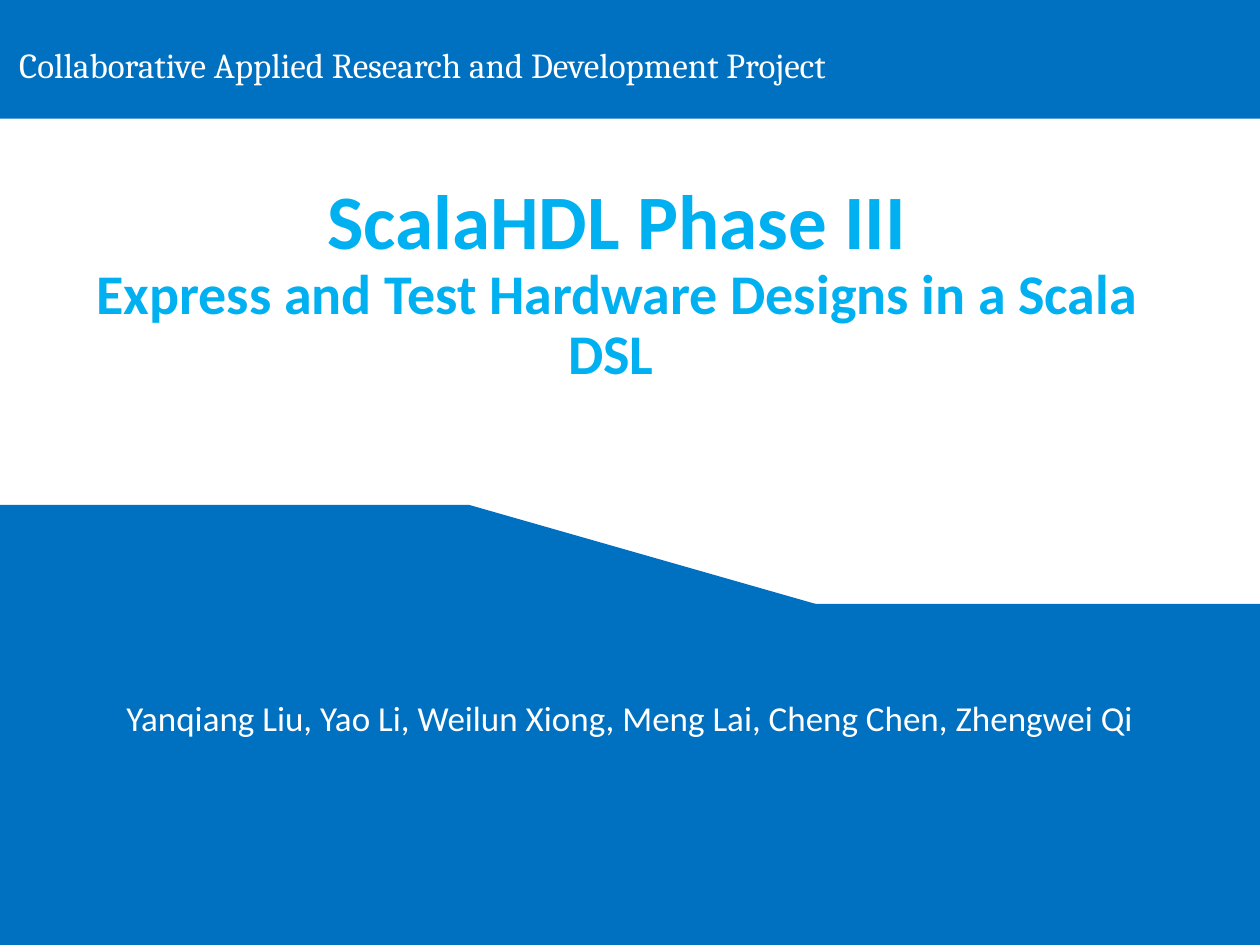
from pptx import Presentation
from pptx.util import Pt
from pptx.dml.color import RGBColor as RGB
from pptx.enum.shapes import MSO_SHAPE as Shape
from pptx.enum.text import PP_ALIGN as Align, MSO_ANCHOR as Anchor

HUES = {"band": "0070C0", "title": "00B0F0", "text": "FFFFFF"}

deck = Presentation()
deck.slide_width, deck.slide_height = Pt(720), Pt(540)
slide = deck.slides.add_slide(deck.slide_layouts[6])


def add_text(box, text, sizes, font, hue, align, bold=False):
    item = slide.shapes.add_textbox(*map(Pt, box))
    frame = item.text_frame
    frame.word_wrap = True
    para = frame.paragraphs[0]
    para.text = text
    para.alignment = align
    for run, size in zip(para.runs, sizes):
        run.font.size = Pt(size)
        run.font.name = font
        run.font.bold = bold
        run.font.color.rgb = RGB.from_string(HUES[hue])
    return frame


# Blue areas: lower band, raised left block, slope between them, top band
areas = [
    (Shape.RECTANGLE, 0, 345, 720, 195),
    (Shape.RECTANGLE, 0, 288.5, 268, 195),
    (Shape.RIGHT_TRIANGLE, 268, 288.5, 224, 64),
    (Shape.RECTANGLE, 0, 0, 720, 67.8),
]
for kind, *box in areas:
    area = slide.shapes.add_shape(kind, *map(Pt, box))
    area.shadow.inherit = False
    area.fill.solid()
    area.fill.fore_color.rgb = RGB.from_string(HUES["band"])
    area.line.fill.background()

# Title, with the subtitle after a line break
title = add_text((26.6, 124.6, 652.3, 100),
                 "ScalaHDL Phase III\vExpress and Test Hardware Designs in a Scala DSL ",
                 (44, 32), "Calibri", "title", Align.CENTER, bold=True)
title.vertical_anchor = Anchor.BOTTOM
title.paragraphs[0].line_spacing = 0.9

# Authors
names = add_text((0, 360, 720, 99.4),
                 "Yanqiang Liu, Yao Li, Weilun Xiong, Meng Lai, Cheng Chen, Zhengwei Qi",
                 (20,), "Calibri", "text", Align.CENTER)
names.margin_top = Pt(37.8)

# Project heading
head = add_text((0, -0.7, 679, 53.3),
                "Collaborative Applied Research and Development Project",
                (20,), "Cambria", "text", Align.LEFT)
head.margin_left, head.margin_top = Pt(11), Pt(25.5)

deck.save("out.pptx")
